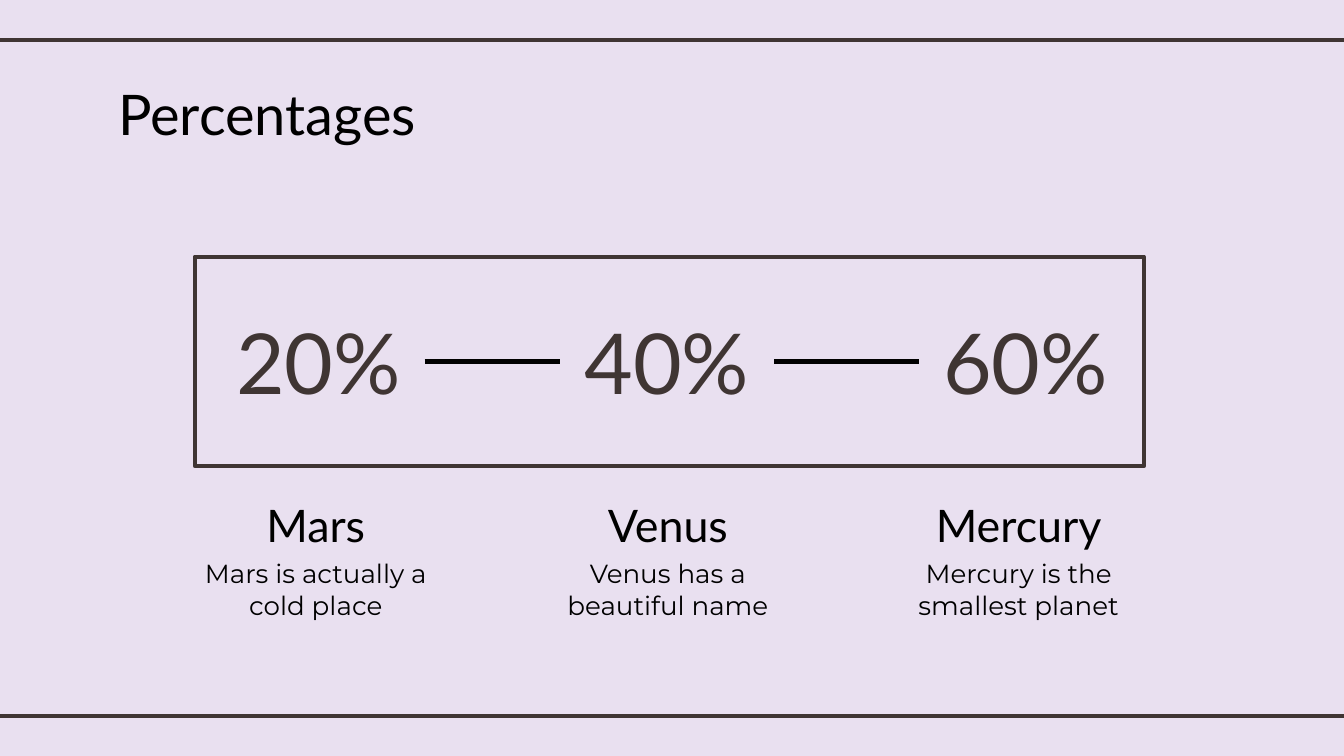
from pptx import Presentation
from pptx.dml.color import RGBColor
from pptx.enum.shapes import MSO_CONNECTOR, MSO_SHAPE
from pptx.enum.text import MSO_ANCHOR as Anchor, MSO_AUTO_SIZE, PP_ALIGN as Align
from pptx.oxml.ns import qn
from pptx.util import Inches, Pt
from lxml.etree import SubElement

LAVENDER = RGBColor(0xE9, 0xE0, 0xF0)
BROWN = RGBColor(0x3F, 0x35, 0x33)
BLACK = RGBColor(0, 0, 0)

TITLE = {"name": "Lato", "size": Pt(30), "bold": False}
PERCENT = {"name": "Lato", "size": Pt(45)}
PLANET = {"name": "Lato", "size": Pt(24)}
FACT = {"name": "Montserrat", "size": Pt(14)}

deck = Presentation()
deck.slide_width = Inches(10)
deck.slide_height = deck.slide_width * 9 // 16
page = deck.slides.add_slide(deck.slide_layouts[5])
page.background.fill.solid()
page.background.fill.fore_color.rgb = LAVENDER


def write(box, text, style, color=BLACK, align=Align.CENTER, anchor=Anchor.TOP):
    frame = box.text_frame
    frame.word_wrap = True
    frame.auto_size = MSO_AUTO_SIZE.NONE
    frame.vertical_anchor = anchor
    for side in ("left", "top", "right", "bottom"):
        setattr(frame, f"margin_{side}", Inches(0.1))
    para = frame.paragraphs[0]
    para.alignment = align
    span = para.add_run()
    span.text = text
    for key, value in style.items():
        setattr(span.font, key, value)
    span.font.color.rgb = color


def add_rule(left, right, y, color):
    rule = page.shapes.add_connector(
        MSO_CONNECTOR.STRAIGHT, Inches(left), Inches(y), Inches(right), Inches(y))
    rule.line.color.rgb = color
    rule.line.width = Pt(2.25)
    SubElement(rule._element.spPr, qn("a:effectLst"))


for y in (0.3, 5.33):
    add_rule(-0.08, 10.08, y, BROWN)

title = page.shapes.title
title.left, title.top = Inches(0.78), Inches(0.49)
title.width, title.height = Inches(3.49), Inches(0.63)
write(title, "Percentages", TITLE, align=Align.LEFT)

border = page.shapes.add_shape(
    MSO_SHAPE.RECTANGLE, Inches(1.45), Inches(1.91), Inches(7.06), Inches(1.56))
border.shadow.inherit = False
border.fill.background()
border.line.color.rgb = BROWN
border.line.width = Pt(2.25)
SubElement(border.line._get_or_add_ln(), qn("a:round"))

planets = [
    (2.35, 2.37, "20%", "Mars", "Mars is actually a cold place"),
    (4.97, 4.96, "40%", "Venus", "Venus has a beautiful name"),
    (7.58, 7.63, "60%", "Mercury", "Mercury is the smallest planet"),
]
for center, percent_center, percent, planet, fact in planets:
    rows = [
        (percent_center, 2.22, 1.58, 0.93, percent, PERCENT, BROWN, Anchor.MIDDLE),
        (center, 3.6, 1.8, 0.48, planet, PLANET, BLACK, Anchor.TOP),
        (center, 4.05, 2.02, 0.63, fact, FACT, BLACK, Anchor.TOP),
    ]
    for middle, top, width, height, text, style, color, anchor in rows:
        box = page.shapes.add_textbox(
            Inches(middle - width / 2), Inches(top), Inches(width), Inches(height))
        write(box, text, style, color, anchor=anchor)

for left, right in ((3.16, 4.17), (5.76, 6.84)):
    add_rule(left, right, 2.69, BLACK)

deck.save("out.pptx")
